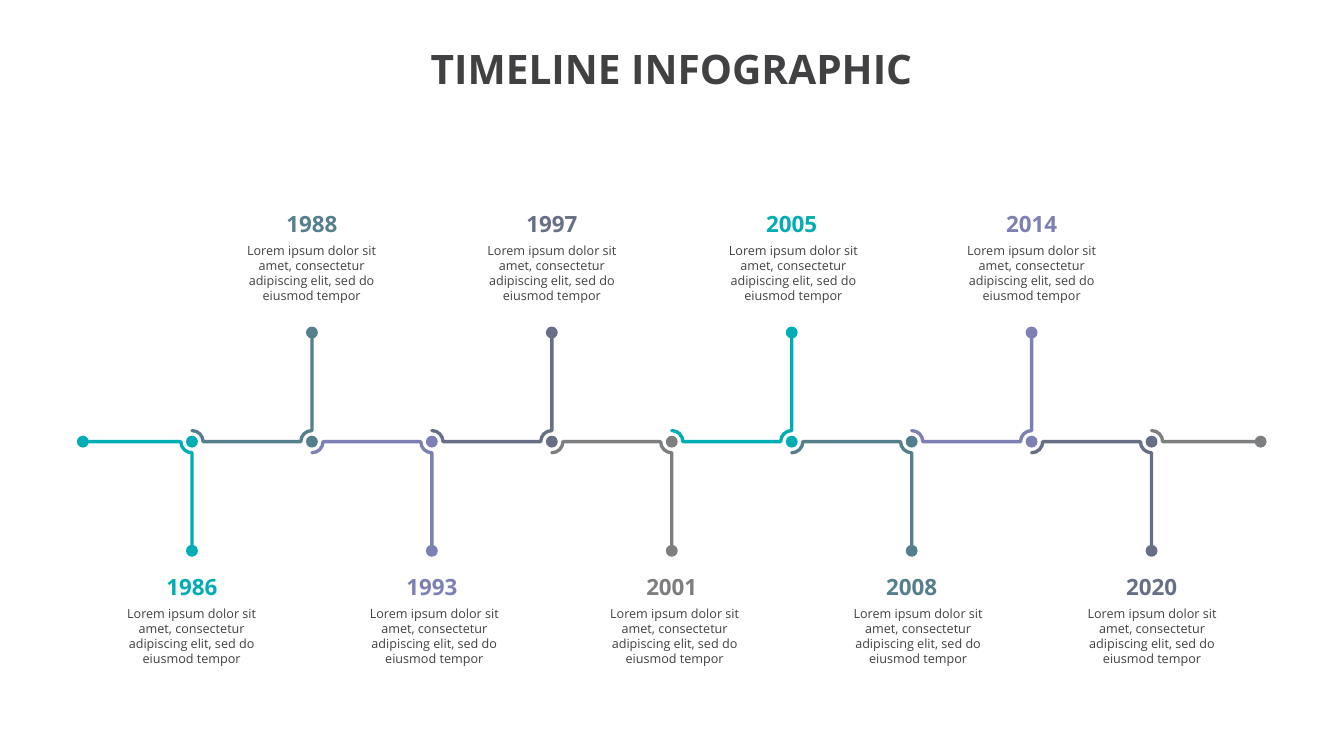
from lxml import etree
from pptx import Presentation
from pptx.dml.color import RGBColor
from pptx.enum.shapes import MSO_SHAPE
from pptx.enum.text import MSO_ANCHOR, MSO_AUTO_SIZE, PP_ALIGN
from pptx.oxml.ns import qn
from pptx.util import Cm, Pt

ELLIPSE = MSO_SHAPE.OVAL
TOP = MSO_ANCHOR.TOP
NO_AUTOSIZE = MSO_AUTO_SIZE.NONE
CENTER = PP_ALIGN.CENTER

TEAL = RGBColor(0x00, 0xAD, 0xB5)
SLATE = RGBColor(0x55, 0x7F, 0x8C)
LAVENDER = RGBColor(0x7D, 0x80, 0xB5)
INDIGO = RGBColor(0x66, 0x6F, 0x85)
GRAY = RGBColor(0x7C, 0x7E, 0x80)
DARK = RGBColor(0x41, 0x40, 0x42)

DESCRIPTION = "Lorem ipsum dolor sit amet, consectetur adipiscing elit, sed do eiusmod tempor"
MILESTONES = [
    ("1986", TEAL, -0.01),
    ("1988", SLATE, -0.01),
    ("1993", LAVENDER, 0.06),
    ("1997", INDIGO, 0),
    ("2001", GRAY, 0.07),
    ("2005", TEAL, 0.04),
    ("2008", SLATE, 0.16),
    ("2014", LAVENDER, 0),
    ("2020", INDIGO, 0.01),
]
AXIS = 11.13
LINE_START, LINE_END = 2.09, 31.78
FIRST, LAST = 4.84, 29.03
STEP = (LAST - FIRST) / (len(MILESTONES) - 1)
STEM = 2.75
RADIUS = 0.28
ROUNDNESS = 0.55
DOT = 0.3
YEAR_WIDTH, YEAR_HEIGHT = 1.3, 0.68
BODY_WIDTH, BODY_HEIGHT = 3.76, 1.78

presentation = Presentation()
presentation.slide_width = Cm(33.88)
presentation.slide_height = Cm(19.05)
slide = presentation.slides.add_slide(presentation.slide_layouts[5])


def write_text(shape, text, size, color, bold, inset_x=0, inset_y=0):
    frame = shape.text_frame
    frame_format = {
        "margin_left": Cm(inset_x), "margin_right": Cm(inset_x),
        "margin_top": Cm(inset_y), "margin_bottom": Cm(inset_y),
        "vertical_anchor": TOP, "auto_size": NO_AUTOSIZE, "word_wrap": True,
    }
    for name, value in frame_format.items():
        setattr(frame, name, value)
    paragraph = frame.paragraphs[0]
    paragraph.text = text
    paragraph.alignment = CENTER
    font = paragraph.runs[0].font
    for name, value in {"name": "Open Sans", "size": Pt(size), "bold": bold}.items():
        setattr(font, name, value)
    font.color.rgb = color


def add_branch(knots, color):
    outline = [(Cm(x), Cm(y)) for x, y in knots]
    builder = slide.shapes.build_freeform(*outline[0])
    builder.add_line_segments(outline[1:], close=False)
    branch = builder.convert_to_shape()
    branch.shadow.inherit = False
    branch.fill.background()
    branch.line.color.rgb = color
    branch.line.width = Pt(2.38)
    properties = branch.element.spPr
    line = properties.find(qn("a:ln"))
    line.set("cap", "rnd")
    etree.SubElement(line, qn("a:round"))

    segments = list(properties.iter(qn("a:lnTo")))
    for segment, start, end in zip(segments, outline, outline[1:]):
        if start[0] == end[0] or start[1] == end[1]:
            continue
        on_axis, off_axis = (start, end) if start[1] == Cm(AXIS) else (end, start)
        corner = (on_axis[0], off_axis[1])
        curve = etree.Element(qn("a:cubicBezTo"))
        for knot, pull in ((start, ROUNDNESS), (end, ROUNDNESS), (end, 0)):
            x, y = (int(a + (b - a) * pull) for a, b in zip(knot, corner))
            etree.SubElement(curve, qn("a:pt"), x=str(x - branch.left), y=str(y - branch.top))
        segment.getparent().replace(segment, curve)


title = slide.shapes.title
title_place = {"left": Cm(10.85), "top": Cm(1.11), "width": Cm(12.17), "height": Cm(1.22)}
for name, value in title_place.items():
    setattr(title, name, value)
write_text(title, "TIMELINE INFOGRAPHIC", 29, DARK, True)
title.text_frame.word_wrap = False

dots = [(LINE_START, AXIS, TEAL), (LINE_END, AXIS, GRAY)]
for index, (year, color, shift) in enumerate(MILESTONES):
    x = FIRST + index * STEP
    side = -1 if index % 2 else 1
    tip = AXIS + side * STEM
    bend = AXIS + side * RADIUS
    knots = [(x, tip), (x, bend), (x - RADIUS, AXIS)]
    if index:
        knots += [(x - STEP + RADIUS, AXIS), (x - STEP, bend)]
    else:
        knots.append((LINE_START, AXIS))
    add_branch(knots, color)
    dots += [(x, AXIS, color), (x, tip, color)]

    year_top = 14.45 if side > 0 else 5.3
    year_box = slide.shapes.add_textbox(
        Cm(x - YEAR_WIDTH / 2), Cm(year_top), Cm(YEAR_WIDTH), Cm(YEAR_HEIGHT))
    write_text(year_box, year, 16, color, True)
    body_box = slide.shapes.add_textbox(
        Cm(x + shift - BODY_WIDTH / 2), Cm(year_top + YEAR_HEIGHT), Cm(BODY_WIDTH), Cm(BODY_HEIGHT))
    write_text(body_box, DESCRIPTION, 9, DARK, False, 0.25, 0.13)

add_branch([(LINE_END, AXIS), (LAST + RADIUS, AXIS), (LAST, AXIS - RADIUS)], GRAY)

for x, y, color in dots:
    dot = slide.shapes.add_shape(ELLIPSE, Cm(x - DOT / 2), Cm(y - DOT / 2), Cm(DOT), Cm(DOT))
    dot.shadow.inherit = False
    dot.fill.solid()
    dot.fill.fore_color.rgb = color
    dot.line.fill.background()

presentation.save("out.pptx")
